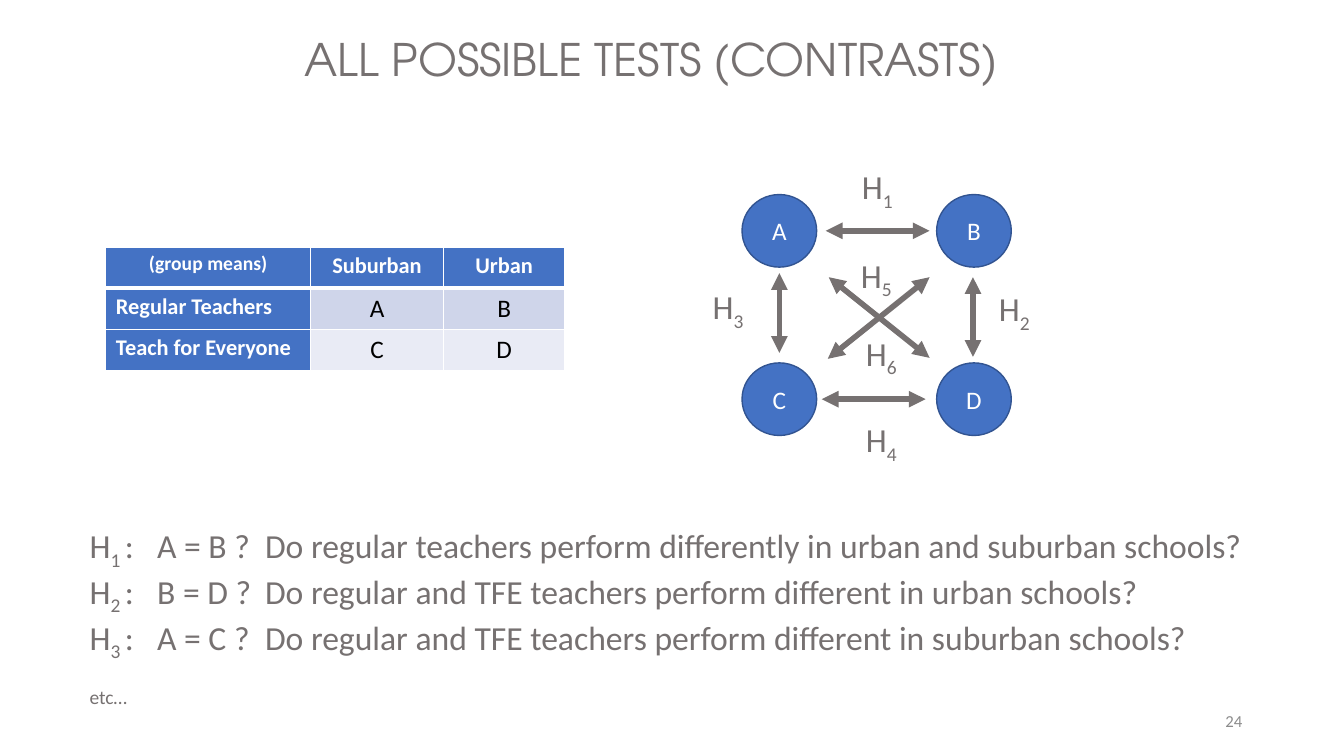
from dataclasses import dataclass
from typing import NamedTuple

from lxml.etree import SubElement
from pptx import Presentation
from pptx.dml.color import RGBColor
from pptx.enum.shapes import MSO_CONNECTOR, MSO_SHAPE
from pptx.enum.text import MSO_ANCHOR, MSO_AUTO_SIZE, PP_ALIGN
from pptx.oxml.ns import qn
from pptx.util import Inches, Pt


@dataclass(frozen=True)
class Theme:
    body_font: str = "Calibri"
    title_font: str = "TeX Gyre Adventor"
    gray: str = "767171"
    page_gray: str = "8C8C8C"
    blue: str = "4472C4"
    blue_edge: str = "325491"
    white: str = "FFFFFF"
    black: str = "000000"
    bands: tuple = ("CFD5EA", "E9EBF5")
    title_size: int = 32
    hypothesis_size: int = 24
    group_size: int = 18
    header_size: int = 16
    corner_size: int = 14
    page_size: int = 12


class Group(NamedTuple):
    name: str
    left: float
    top: float


class Contrast(NamedTuple):
    number: int
    start: tuple
    end: tuple
    label_left: float
    label_top: float


class Question(NamedTuple):
    number: int
    equation: str
    wording: str


THEME = Theme()
COLUMNS = (7.36, 9.29)
ROWS = (1.93, 3.6)
GROUPS = [Group("ABCD"[2 * r + c], left, top)
          for r, top in enumerate(ROWS) for c, left in enumerate(COLUMNS)]
CONTRASTS = [
    Contrast(1, (8.19, 2.29), (9.22, 2.29), 8.45, 1.6),
    Contrast(2, (9.65, 2.75), (9.65, 3.54), 9.81, 2.81),
    Contrast(3, (7.73, 2.71), (7.73, 3.5), 6.97, 2.79),
    Contrast(4, (8.15, 3.96), (9.18, 3.96), 8.49, 4.11),
    Contrast(5, (8.22, 2.75), (9.22, 3.55), 8.44, 2.48),
    Contrast(6, (9.22, 2.75), (8.21, 3.56), 8.49, 3.25),
]
QUESTIONS = [
    Question(1, "A = B ?", "Do regular teachers perform differently in urban and suburban schools?"),
    Question(2, "B = D ?", "Do regular and TFE teachers perform different in urban schools?"),
    Question(3, "A = C ?", "Do regular and TFE teachers perform different in suburban schools?"),
]
MEANS = [
    ("(group means)", "Suburban", "Urban"),
    ("Regular Teachers", "A", "B"),
    ("Teach for Everyone", "C", "D"),
]
MEANS_WIDTHS = (2.03, 1.32, 1.2)
MEANS_ROW_HEIGHT = 0.41
QUESTION_TABS = (0.67, 1.74)


def add_run(paragraph, text: str, size: int, color: str, font: str = THEME.body_font,
            bold: bool = False, subscript: bool = False) -> None:
    run = paragraph.add_run()
    run.text = text
    run.font.name = font
    run.font.size = Pt(size)
    run.font.bold = bold
    run.font.color.rgb = RGBColor.from_string(color)
    if subscript:
        run._r.get_or_add_rPr().set("baseline", "-25000")


def add_hypothesis(paragraph, number: int) -> None:
    add_run(paragraph, "H", THEME.hypothesis_size, THEME.gray)
    add_run(paragraph, str(number), THEME.hypothesis_size, THEME.gray, subscript=True)


def write_title(slide) -> None:
    title = slide.shapes.title
    title.left, title.top, title.width, title.height = map(Inches, (2.92, 0.26, 7.16, 0.64))
    frame = title.text_frame
    frame.auto_size = MSO_AUTO_SIZE.NONE
    frame.word_wrap = False
    frame.vertical_anchor = MSO_ANCHOR.TOP
    frame.paragraphs[0].alignment = PP_ALIGN.LEFT
    add_run(frame.paragraphs[0], "ALL POSSIBLE TESTS (CONTRASTS)", THEME.title_size,
            THEME.gray, font=THEME.title_font)


def draw_group(slide, group: Group) -> None:
    circle = slide.shapes.add_shape(MSO_SHAPE.OVAL, Inches(group.left), Inches(group.top),
                                    Inches(0.74), Inches(0.72))
    circle.shadow.inherit = False
    circle.fill.solid()
    circle.fill.fore_color.rgb = RGBColor.from_string(THEME.blue)
    circle.line.color.rgb = RGBColor.from_string(THEME.blue_edge)
    circle.line.width = Pt(1)
    circle.text_frame.vertical_anchor = MSO_ANCHOR.MIDDLE
    paragraph = circle.text_frame.paragraphs[0]
    paragraph.alignment = PP_ALIGN.CENTER
    add_run(paragraph, group.name, THEME.group_size, THEME.white)


def draw_contrast(slide, contrast: Contrast) -> None:
    arrow = slide.shapes.add_connector(MSO_CONNECTOR.STRAIGHT,
                                       *map(Inches, contrast.start + contrast.end))
    arrow.line.color.rgb = RGBColor.from_string(THEME.gray)
    arrow.line.width = Pt(4)
    line = arrow.line._get_or_add_ln()
    for end in ("a:headEnd", "a:tailEnd"):
        SubElement(line, qn(end), type="triangle")
    SubElement(arrow._element.spPr, qn("a:effectLst"))
    label = slide.shapes.add_textbox(Inches(contrast.label_left), Inches(contrast.label_top),
                                     Inches(0.53), Inches(0.5))
    label.text_frame.auto_size = MSO_AUTO_SIZE.SHAPE_TO_FIT_TEXT
    add_hypothesis(label.text_frame.paragraphs[0], contrast.number)


def write_questions(slide) -> None:
    frame = slide.shapes.add_textbox(Inches(0.79), Inches(5.16),
                                     Inches(11.75), Inches(1.58)).text_frame
    frame.word_wrap = True
    paragraph = frame.paragraphs[0]
    for question in QUESTIONS:
        tabs = SubElement(paragraph._p.get_or_add_pPr(), qn("a:tabLst"))
        for position in QUESTION_TABS:
            SubElement(tabs, qn("a:tab"), pos=str(Inches(position)), algn="l")
        add_hypothesis(paragraph, question.number)
        add_run(paragraph, " ", THEME.hypothesis_size, THEME.gray, subscript=True)
        add_run(paragraph, f":\t{question.equation}\t{question.wording}",
                THEME.hypothesis_size, THEME.gray)
        paragraph = frame.add_paragraph()
    add_run(paragraph, "etc…", THEME.hypothesis_size, THEME.gray, subscript=True)


def add_border(cell, side: str, width: int) -> None:
    border = SubElement(cell._tc.get_or_add_tcPr(), qn(f"a:{side}"), w=str(Pt(width)))
    SubElement(SubElement(border, qn("a:solidFill")), qn("a:srgbClr"), val=THEME.white)


def fill_mean(cell, text: str, row: int, column: int) -> None:
    for side in ("lnL", "lnR", "lnT", "lnB"):
        add_border(cell, side, 3 if (row, side) in ((0, "lnB"), (1, "lnT")) else 1)
    heading = row == 0 or column == 0
    cell.fill.solid()
    cell.fill.fore_color.rgb = RGBColor.from_string(
        THEME.blue if heading else THEME.bands[row - 1])
    paragraph = cell.text_frame.paragraphs[0]
    paragraph.alignment = PP_ALIGN.LEFT if row and not column else PP_ALIGN.CENTER
    if heading:
        size = THEME.header_size if row or column else THEME.corner_size
        add_run(paragraph, text, size, THEME.white, bold=True)
    else:
        add_run(paragraph, text, THEME.group_size, THEME.black)


def draw_means(slide) -> None:
    means = slide.shapes.add_table(
        len(MEANS), len(MEANS_WIDTHS), Inches(1.05), Inches(2.45),
        Inches(sum(MEANS_WIDTHS)), Inches(MEANS_ROW_HEIGHT * len(MEANS))).table
    means.horz_banding = False
    for column, width in zip(means.columns, MEANS_WIDTHS):
        column.width = Inches(width)
    for r, texts in enumerate(MEANS):
        means.rows[r].height = Inches(MEANS_ROW_HEIGHT)
        for c, text in enumerate(texts):
            fill_mean(means.cell(r, c), text, r, c)


def write_page_number(slide) -> None:
    frame = slide.shapes.add_textbox(Inches(9.42), Inches(6.95),
                                     Inches(3), Inches(0.4)).text_frame
    frame.word_wrap = True
    frame.vertical_anchor = MSO_ANCHOR.MIDDLE
    frame.paragraphs[0].alignment = PP_ALIGN.RIGHT
    add_run(frame.paragraphs[0], "24", THEME.page_size, THEME.page_gray)


presentation = Presentation()
presentation.slide_width = Inches(13.33)
presentation.slide_height = Inches(7.5)
contrasts_slide = presentation.slides.add_slide(presentation.slide_layouts[5])
write_title(contrasts_slide)
for group in GROUPS:
    draw_group(contrasts_slide, group)
for contrast in CONTRASTS:
    draw_contrast(contrasts_slide, contrast)
write_questions(contrasts_slide)
draw_means(contrasts_slide)
write_page_number(contrasts_slide)
presentation.save("out.pptx")
